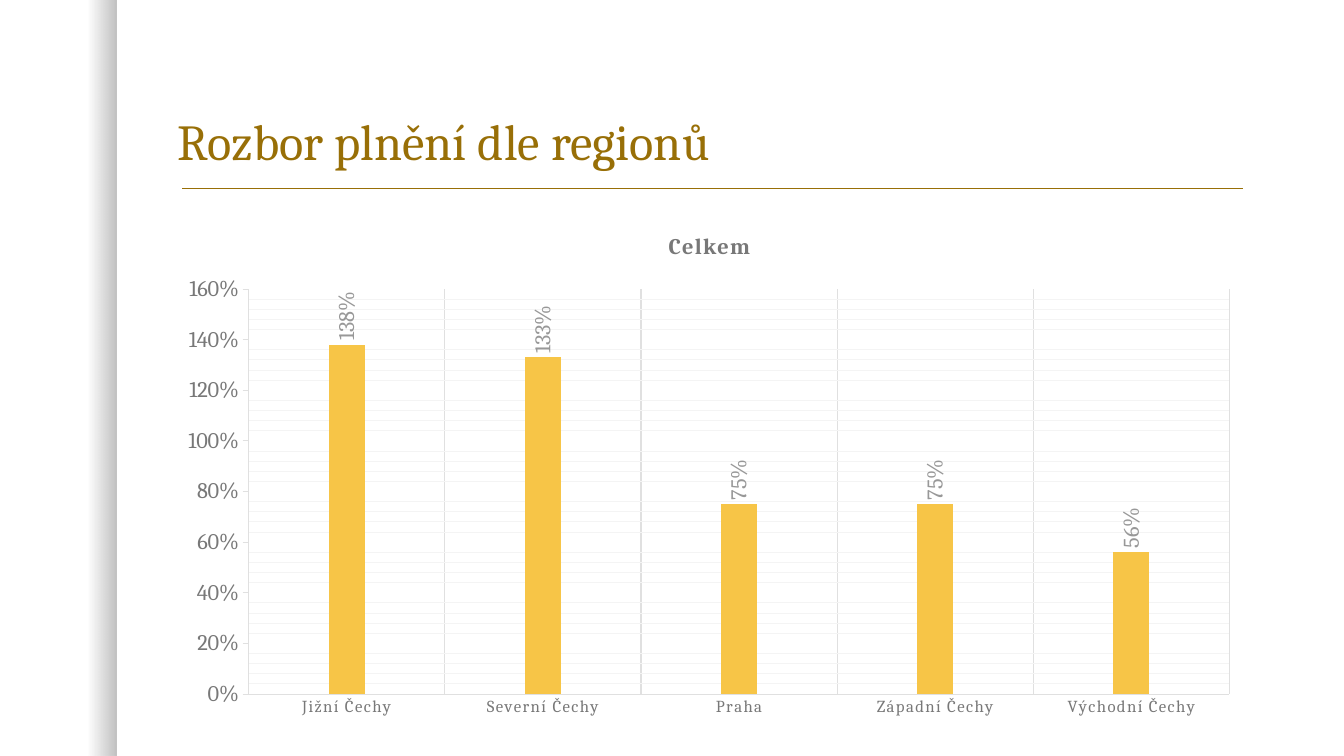
"""Build a slide with a column chart of plan fulfilment by region."""
from lxml import etree
from pptx import Presentation
from pptx.chart.data import CategoryChartData
from pptx.dml.color import RGBColor
from pptx.enum.chart import XL_CHART_TYPE, XL_LABEL_POSITION, XL_TICK_MARK
from pptx.enum.shapes import MSO_CONNECTOR, MSO_SHAPE
from pptx.enum.text import MSO_ANCHOR, MSO_AUTO_SIZE, PP_ALIGN
from pptx.oxml.ns import qn
from pptx.util import Inches, Pt

CLUSTERED = XL_CHART_TYPE.COLUMN_CLUSTERED
OUTSIDE_END = XL_LABEL_POSITION.OUTSIDE_END
TICK_NONE, TICK_OUTSIDE = XL_TICK_MARK.NONE, XL_TICK_MARK.OUTSIDE
STRAIGHT, RECTANGLE = MSO_CONNECTOR.STRAIGHT, MSO_SHAPE.RECTANGLE
BOTTOM, LEFT, NO_FIT = MSO_ANCHOR.BOTTOM, PP_ALIGN.LEFT, MSO_AUTO_SIZE.NONE

COLOURS = {
    "background": "FFFFFF",
    "shade": "000000",
    "accent": "986F07",
    "column": "F7C547",
    "chart": "303030",
    "axis": "787878",
    "label": "989898",
    "grid": "E0E0E0",
    "minor_grid": "F4F4F4",
}
FONT = "Cambria"
WIDTH, HEIGHT = 13.33, 7.5
LEFT_SHARE, WIDTH_SHARE = 1.66 / WIDTH, 10.75 / WIDTH
PLOT_LAYOUT = {"x": 0.075, "y": 0.15, "w": 0.905, "h": 0.785}
REGIONS = {
    "Jižní Čechy": 1.38,
    "Severní Čechy": 1.33,
    "Praha": 0.75,
    "Západní Čechy": 0.75,
    "Východní Čechy": 0.56,
}


class StyledSlide:
    """Hold the style and the current slide."""

    def __init__(self, presentation):
        self.presentation = presentation
        self.slide = presentation.slides.add_slide(presentation.slide_layouts[5])
        background = self.slide.background.fill
        background.solid()
        background.fore_color.rgb = self.colour("background")

    def colour(self, name):
        return RGBColor.from_string(COLOURS[name])

    def box(self, left, top, width, height):
        across, down = self.presentation.slide_width, self.presentation.slide_height
        return (round(left * across), round(top * down),
                round(width * across), round(height * down))

    def style_font(self, font, size, colour, bold=False):
        font.name, font.size, font.bold = FONT, Pt(size), bold
        font.color.rgb = self.colour(colour)

    def style_line(self, line, colour, width=0.75):
        line.color.rgb = self.colour(colour)
        line.width = Pt(width)

    def add_shade(self, share):
        shape = self.slide.shapes.add_shape(RECTANGLE, *self.box(*share))
        shape.shadow.inherit = False
        shape.line.fill.background()
        shape.fill.gradient()
        shape.fill.gradient_angle = 0
        for stop, position in zip(shape.fill.gradient_stops, (0.75, 1)):
            stop.position = position
            stop.color.rgb = self.colour("shade")
        stops = shape._element.spPr.iter(qn("a:srgbClr"))
        for element, opacity in zip(list(stops), (0, 25000)):
            etree.SubElement(element, qn("a:alpha"), val=str(opacity))

    def add_rule(self, left, right, top):
        start_x, start_y, length, _ = self.box(left, top, right - left, 0)
        rule = self.slide.shapes.add_connector(
            STRAIGHT, start_x, start_y, start_x + length, start_y)
        self.style_line(rule.line, "accent", 1)
        etree.SubElement(rule._element.spPr, qn("a:effectLst"))

    def add_title(self, text, share):
        title = self.slide.shapes.title
        title.left, title.top, title.width, title.height = self.box(*share)
        frame = title.text_frame
        frame.text = text
        frame.word_wrap = True
        frame.auto_size = NO_FIT
        frame.vertical_anchor = BOTTOM
        paragraph = frame.paragraphs[0]
        paragraph.alignment = LEFT
        paragraph.line_spacing = 0.9
        self.style_font(paragraph.runs[0].font, 36, "accent")

    def add_column_chart(self, name, values, share):
        data = CategoryChartData(number_format="0%")
        data.categories = list(values)
        data.add_series(name, list(values.values()))
        chart = self.slide.shapes.add_chart(CLUSTERED, *self.box(*share), data).chart
        chart.has_legend = False
        self.style_font(chart.font, 10, "chart")
        self.style_chart_title(chart, name)
        self.style_axes(chart)
        self.style_columns(chart.plots[0])
        self.place_plot(chart)

    def style_chart_title(self, chart, text):
        chart.has_title = True
        frame = chart.chart_title.text_frame
        frame.text = text
        run = frame.paragraphs[0].runs[0]
        self.style_font(run.font, 16, "axis", True)
        run._r.get_or_add_rPr().set("spc", "100")

    def style_axes(self, chart):
        category, value = chart.category_axis, chart.value_axis
        for axis, size, tick in ((category, 12, TICK_NONE), (value, 16, TICK_OUTSIDE)):
            axis.major_tick_mark, axis.minor_tick_mark = tick, TICK_NONE
            self.style_font(axis.tick_labels.font, size, "axis")
            self.style_line(axis.format.line, "grid")
        category._element.find(".//" + qn("a:defRPr")).set("spc", "100")
        category.has_major_gridlines = True
        self.style_line(category.major_gridlines.format.line, "grid")
        self.style_minor_gridlines(value)
        value.minimum_scale, value.maximum_scale = 0, 1.6
        value.major_unit, value.minor_unit = 0.2, 0.04
        value.tick_labels.number_format = "0%"
        value.tick_labels.number_format_is_linked = False

    def style_minor_gridlines(self, axis):
        axis.has_major_gridlines = axis.has_minor_gridlines = True
        self.style_line(axis.major_gridlines.format.line, "minor_grid")
        properties = axis._element.find(qn("c:majorGridlines")).find(qn("c:spPr"))
        axis._element.find(qn("c:minorGridlines")).append(properties)
        axis.has_major_gridlines = False

    def style_columns(self, plot):
        plot.gap_width, plot.overlap = 444, -90
        plot.vary_by_categories = False
        series = plot.series[0]
        series.invert_if_negative = False
        series.format.fill.solid()
        series.format.fill.fore_color.rgb = self.colour("column")
        labels = series.data_labels
        labels.show_value = True
        labels.position = OUTSIDE_END
        labels.number_format = "0%"
        labels.number_format_is_linked = False
        self.style_font(labels.font, 16, "label")
        body = labels._element.find(".//" + qn("a:bodyPr"))
        body.set("rot", "-5400000")
        body.set("vert", "horz")

    def place_plot(self, chart):
        area = chart._chartSpace.find(".//" + qn("c:plotArea"))
        for existing in area.findall(qn("c:layout")):
            area.remove(existing)
        layout = etree.Element(qn("c:layout"))
        area.insert(0, layout)
        manual = etree.SubElement(layout, qn("c:manualLayout"))
        settings = {"layoutTarget": "inner", "xMode": "edge", "yMode": "edge"}
        for tag, setting in {**settings, **PLOT_LAYOUT}.items():
            etree.SubElement(manual, qn("c:" + tag), val=str(setting))


def main():
    presentation = Presentation()
    presentation.slide_width, presentation.slide_height = Inches(WIDTH), Inches(HEIGHT)
    slide = StyledSlide(presentation)
    slide.add_shade((0, 0, 1.16 / WIDTH, 1))
    slide.add_rule(1.81 / WIDTH, 12.33 / WIDTH, 1.87 / HEIGHT)
    slide.add_title("Rozbor plnění dle regionů",
                    (LEFT_SHARE, 0.42 / HEIGHT, WIDTH_SHARE, 1.33 / HEIGHT))
    slide.add_column_chart("Celkem", REGIONS,
                           (LEFT_SHARE, 2.1 / HEIGHT, WIDTH_SHARE, 5.12 / HEIGHT))
    presentation.save("out.pptx")


if __name__ == "__main__":
    main()
